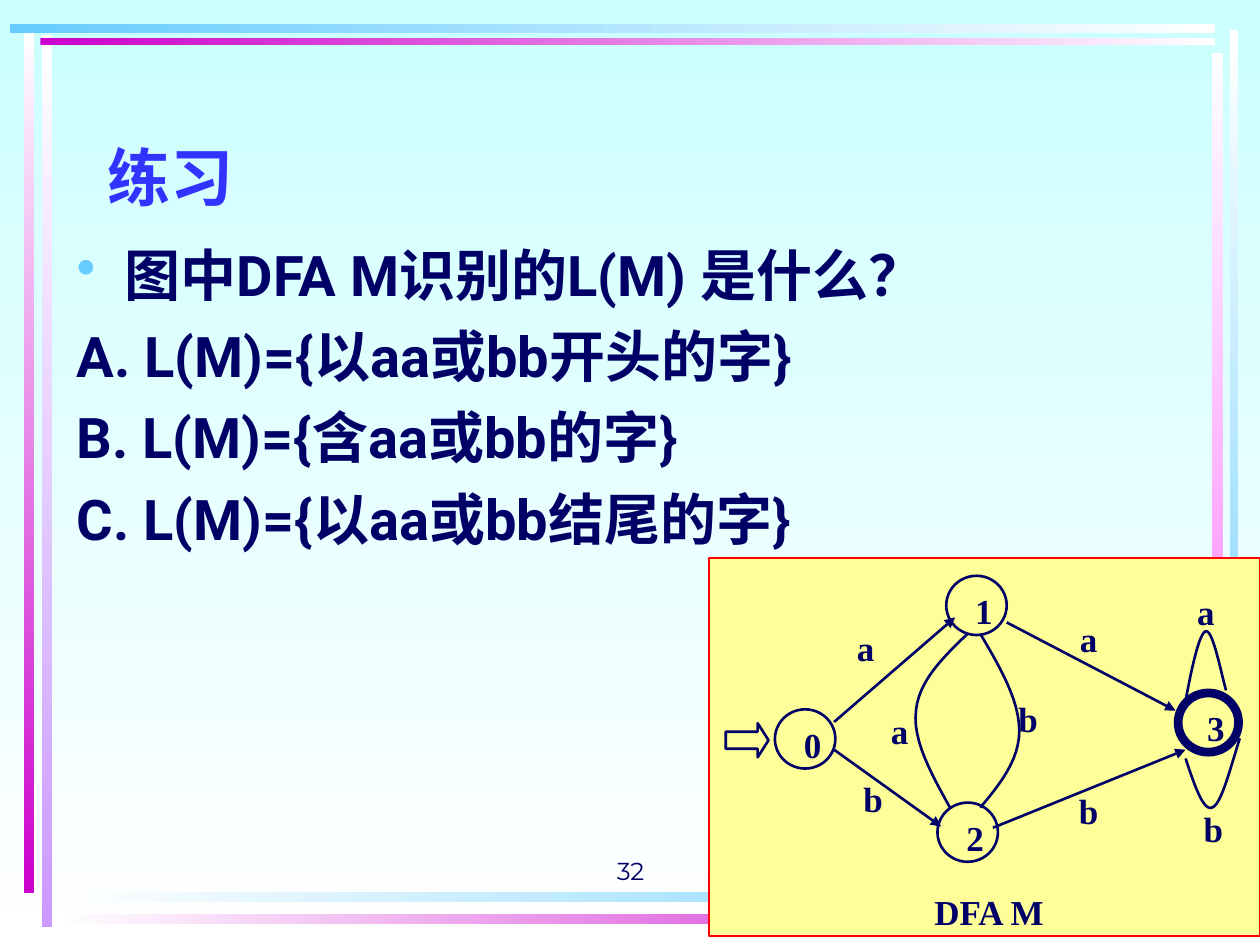
"""Build the exercise slide about the language recognised by DFA M."""
from lxml import etree
from pptx import Presentation
from pptx import util as u
from pptx.dml.color import RGBColor
from pptx.enum import shapes, text
from pptx.oxml.ns import qn

COLORS = {
    "ink": "000066", "title": "3333FF", "sky": "66CCFF", "lilac": "CC99FF",
    "magenta": "CC00CC", "pink": "FF66FF", "white": "FFFFFF", "ice": "CCFFFF",
    "panel": "FFFF99", "border": "FF0000",
}
RGB = {name: RGBColor.from_string(value) for name, value in COLORS.items()}

presentation = Presentation()
presentation.slide_width, presentation.slide_height = u.Inches(10), u.Inches(7.5)
CELL = presentation.slide_width / 10


def grid(*lengths):
    """Turn columns and rows of the slide grid into lengths."""
    return [u.Emu(round(length * CELL)) for length in lengths]


def write(shape, *lines, font="Times New Roman", size=20, color="ink", bold=True,
          align=text.PP_ALIGN.CENTER, anchor=text.MSO_ANCHOR.MIDDLE, wrap=False,
          margins=(0.1, 0.05, 0.1, 0.05), gap=0, hanging=0, bullets=()):
    """Write lines into a shape, one paragraph each, in one format."""
    frame = shape.text_frame
    frame.text = "\n".join(lines)
    frame.word_wrap, frame.vertical_anchor = wrap, anchor
    (frame.margin_left, frame.margin_top,
     frame.margin_right, frame.margin_bottom) = grid(*margins)
    for index, paragraph in enumerate(frame.paragraphs):
        paragraph.alignment = align
        if index:
            paragraph.space_before = u.Pt(gap)
        properties = paragraph._p.get_or_add_pPr()
        if hanging:
            indent = grid(hanging)[0]
            properties.set("marL", str(indent))
            properties.set("indent", str(-indent))
        if index in bullets:
            bullet_color = etree.SubElement(properties, qn("a:buClr"))
            etree.SubElement(bullet_color, qn("a:srgbClr"), val=COLORS["sky"])
            etree.SubElement(properties, qn("a:buChar"), char="•")
        for run in paragraph.runs:
            run.font.name, run.font.size, run.font.bold = font, u.Pt(size), bold
            run.font.color.rgb = RGB[color]
            etree.SubElement(run._r.get_or_add_rPr(), qn("a:ea"), typeface=font)


slide = presentation.slides.add_slide(presentation.slide_layouts[5])
canvas = slide.shapes
gradients = [(slide.background.fill, "ice", "white", 270)]

frame_bars = [
    (0.33, 0.28, 0.08, 7.08, "white", "lilac"),
    (0.19, 0.25, 0.08, 6.84, "white", "magenta"),
    (9.76, 0.24, 0.07, 6.93, "white", "sky"),
    (9.62, 0.42, 0.09, 6.83, "white", "pink"),
    (0.45, 7.08, 9.5, 0.08, "white", "sky"),
    (0.45, 7.25, 9.3, 0.08, "white", "magenta"),
    (0.32, 0.3, 9.32, 0.06, "magenta", "white"),
    (0.08, 0.19, 9.56, 0.07, "sky", "white"),
]
for left, top, width, height, start, end in frame_bars:
    bar = canvas.add_shape(shapes.MSO_SHAPE.RECTANGLE, *grid(left, top, width, height))
    bar.shadow.inherit = False
    bar.line.fill.background()
    gradients.append((bar.fill, start, end, 270 if height > width else 0))
for fill, start, end, angle in gradients:
    fill.gradient()
    fill.gradient_angle = angle
    for stop, name in zip(fill.gradient_stops, (start, end)):
        stop.color.rgb = RGB[name]

write(canvas.add_textbox(*grid(3.42, 6.58, 3.17, 0.5)), "32", font="Montserrat",
      size=14, bold=False, anchor=text.MSO_ANCHOR.BOTTOM, wrap=True)

title = canvas.title
title.left, title.top, title.width, title.height = grid(0.75, 0.67, 8.5, 1.08)
write(title, "练习", font="Roboto", size=36, color="title", wrap=True,
      align=text.PP_ALIGN.LEFT, anchor=text.MSO_ANCHOR.BOTTOM)

write(canvas.add_textbox(*grid(0.51, 1.86, 9, 4.25)),
      "图中DFA M识别的L(M) 是什么？",
      "A. L(M)={以aa或bb开头的字}",
      "B. L(M)={含aa或bb的字}",
      "C. L(M)={以aa或bb结尾的字}",
      font="Roboto", size=32, align=text.PP_ALIGN.LEFT, anchor=text.MSO_ANCHOR.TOP,
      wrap=True, gap=8, hanging=0.38, bullets=(0,))

panel = canvas.add_shape(shapes.MSO_SHAPE.RECTANGLE, *grid(5.63, 4.43, 4.37, 3))
panel.shadow.inherit = False
panel.fill.solid()
panel.fill.fore_color.rgb = RGB["panel"]
panel.line.color.rgb, panel.line.width = RGB["border"], u.Pt(1)

outlines = []
states = [("0", 6.15, 5.63, 1.5), ("3", 9.35, 5.5, 5),
          ("1", 7.51, 4.57, 1.5), ("2", 7.44, 6.37, 1.5)]
for name, left, top, weight in states:
    state = canvas.add_shape(shapes.MSO_SHAPE.OVAL, *grid(left, top, 0.48, 0.47))
    write(state, name, align=text.PP_ALIGN.JUSTIFY, anchor=text.MSO_ANCHOR.TOP,
          wrap=True, margins=(0.16, 0.04, 0, 0))
    outlines.append((state, weight))

entry = canvas.add_shape(shapes.MSO_SHAPE.RIGHT_ARROW, *grid(5.76, 5.74, 0.34, 0.27))
entry.adjustments[0], entry.adjustments[1] = 0.5, 0.32
outlines.append((entry, 1.5))

curves = [
    [(7.68, 5.03), (7.48, 5.22), (7.29, 5.41), (7.27, 5.64),
     (7.24, 5.87), (7.39, 6.14), (7.54, 6.41)],
    [(7.78, 5.03), (7.94, 5.3), (8.09, 5.56), (8.09, 5.8),
     (8.09, 6.03), (7.94, 6.22), (7.78, 6.41)],
    [(9.73, 5.48), (9.67, 5.24), (9.62, 5), (9.57, 5.01),
     (9.52, 5.02), (9.46, 5.29), (9.41, 5.56)],
    [(9.84, 5.86), (9.76, 6.12), (9.69, 6.39), (9.62, 6.41),
     (9.55, 6.44), (9.48, 6.23), (9.41, 6.02)],
]
STEPS = 12
for controls in curves:
    points = []
    for first in (0, 3):
        for step in range(1, STEPS + 1):
            t = step / STEPS
            weights = ((1 - t) ** 3, 3 * t * (1 - t) ** 2, 3 * t ** 2 * (1 - t), t ** 3)
            segment = controls[first:first + 4]
            points.append(grid(*(sum(w * point[axis] for w, point in zip(weights, segment))
                                 for axis in (0, 1))))
    builder = canvas.build_freeform(*grid(*controls[0]))
    builder.add_line_segments(points, close=False)
    outlines.append((builder.convert_to_shape(), 1.5))

for shape, weight in outlines:
    shape.shadow.inherit = False
    shape.fill.background()
    shape.line.color.rgb, shape.line.width = RGB["ink"], u.Pt(weight)

transitions = [(6.62, 5.73, 7.58, 4.9), (7.99, 4.94, 9.33, 5.64),
               (6.62, 5.95, 7.47, 6.56), (7.88, 6.57, 9.41, 5.95)]
for ends in transitions:
    arrow = canvas.add_connector(shapes.MSO_CONNECTOR.STRAIGHT, *grid(*ends))
    arrow.line.color.rgb, arrow.line.width = RGB["ink"], u.Pt(1.5)
    etree.SubElement(arrow.line._get_or_add_ln(), qn("a:tailEnd"), type="triangle")
    etree.SubElement(arrow._element.spPr, qn("a:effectLst"))

labels = [
    ("a", 6.63, 4.97, 0.48, 0.34), ("a", 6.9, 5.63, 0.48, 0.33),
    ("a", 8.4, 4.9, 0.48, 0.33), ("a", 9.33, 4.69, 0.48, 0.33),
    ("b", 7.92, 5.57, 0.48, 0.27), ("b", 6.69, 6.17, 0.48, 0.33),
    ("b", 9.39, 6.41, 0.48, 0.33), ("b", 8.4, 6.23, 0.48, 0.4),
    ("DFA M", 6.9, 6.97, 1.9, 0.53),
]
for label, *place in labels:
    write(canvas.add_textbox(*grid(*place)), label)

presentation.save("out.pptx")
